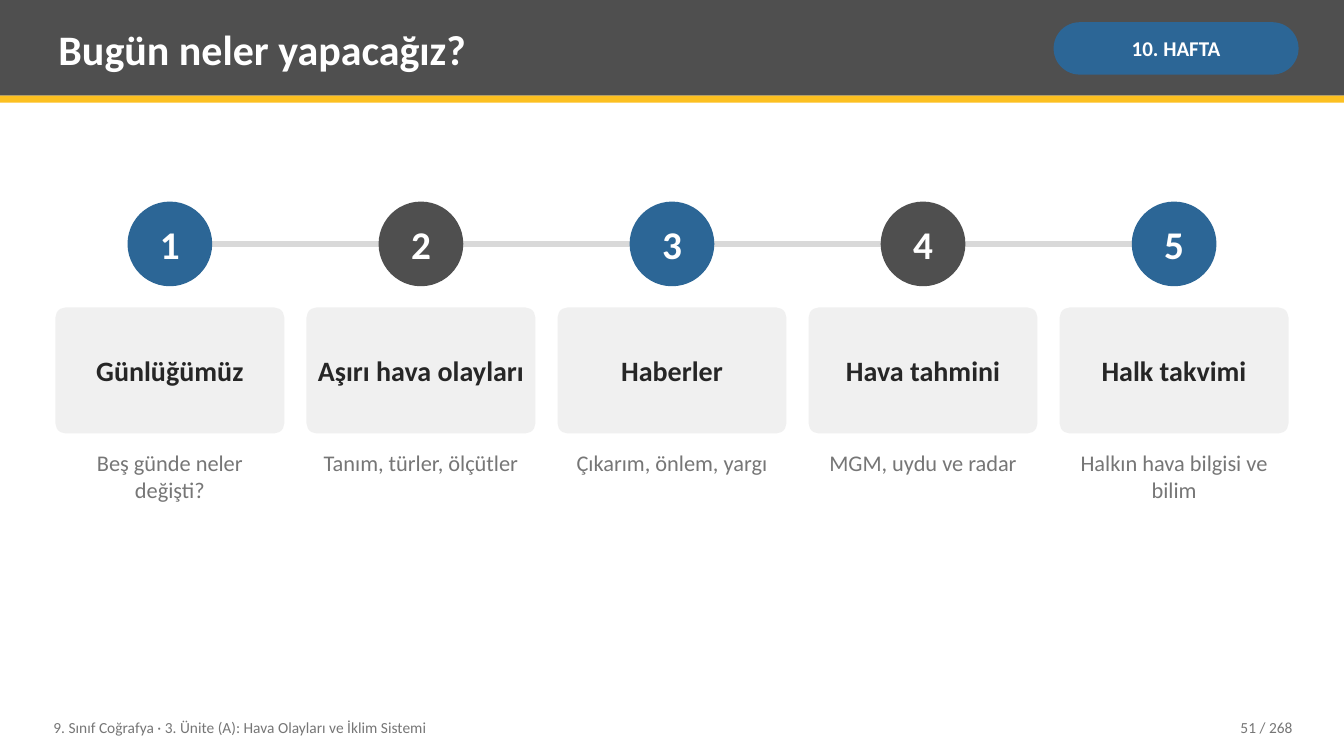
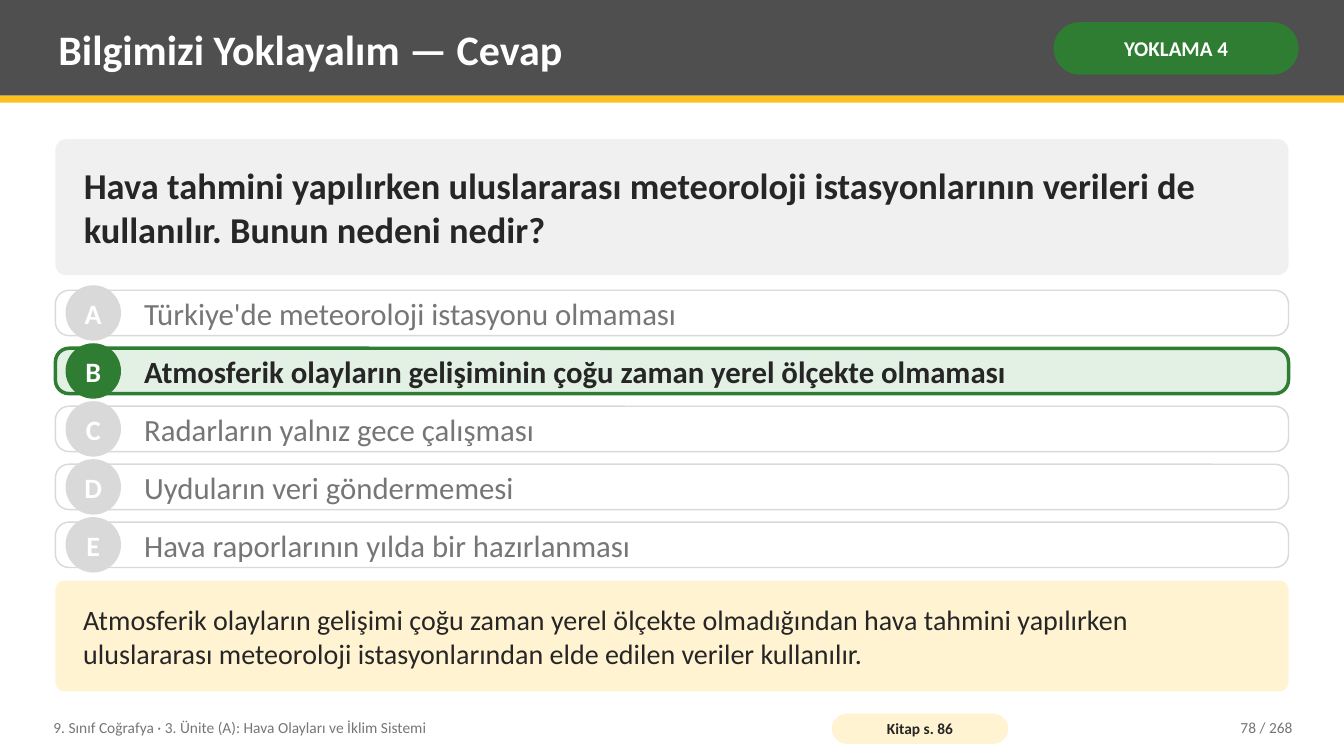
"""Builds a lesson agenda slide and a quiz answer slide."""
from lxml import etree
from pptx import Presentation
from pptx.dml.color import RGBColor
from pptx.enum.shapes import MSO_CONNECTOR, MSO_SHAPE
from pptx.enum.text import MSO_ANCHOR, PP_ALIGN
from pptx.oxml.ns import qn
from pptx.util import Inches, Pt

FONT = "Calibri"
COLORS = {
    "dark": "4F4F4F", "yellow": "FCC021", "blue": "2C6696", "green": "2E7D32",
    "white": "FFFFFF", "ink": "262626", "muted": "767676", "rule": "D9D9D9",
    "card": "F0F0F0", "cream": "FFF3D1", "mint": "E3F1E4",
}
WIDTH, HEIGHT = 13.33, 7.5
LEFT, CONTENT_W = 0.55, 12.23
TEXT_INSETS = (0.08, 0.04)
FOOTER = "9. Sınıf Coğrafya · 3. Ünite (A): Hava Olayları ve İklim Sistemi"
TOTAL_PAGES = 268

AGENDA = {"title": "Bugün neler yapacağız?", "badge": "10. HAFTA", "badge_color": "blue", "page": 51}
STEPS = [
    ("Günlüğümüz", "Beş günde neler değişti?"),
    ("Aşırı hava olayları", "Tanım, türler, ölçütler"),
    ("Haberler", "Çıkarım, önlem, yargı"),
    ("Hava tahmini", "MGM, uydu ve radar"),
    ("Halk takvimi", "Halkın hava bilgisi ve bilim"),
]

QUIZ = {"title": "Bilgimizi Yoklayalım — Cevap", "badge": "YOKLAMA 4", "badge_color": "green", "page": 78}
QUESTION = ("Hava tahmini yapılırken uluslararası meteoroloji istasyonlarının verileri de "
            "kullanılır. Bunun nedeni nedir?")
OPTIONS = [
    ("A", "Türkiye'de meteoroloji istasyonu olmaması"),
    ("B", "Atmosferik olayların gelişiminin çoğu zaman yerel ölçekte olmaması"),
    ("C", "Radarların yalnız gece çalışması"),
    ("D", "Uyduların veri göndermemesi"),
    ("E", "Hava raporlarının yılda bir hazırlanması"),
]
ANSWER = "B"
EXPLANATION = ("Atmosferik olayların gelişimi çoğu zaman yerel ölçekte olmadığından hava tahmini "
               "yapılırken uluslararası meteoroloji istasyonlarından elde edilen veriler kullanılır.")
BOOK_PAGE = "Kitap s. 86"


def rgb(name):
    return RGBColor.from_string(COLORS[name])


def set_text(shape, content, size, color, bold=False, align=PP_ALIGN.LEFT,
             anchor=MSO_ANCHOR.MIDDLE, insets=TEXT_INSETS, wrap=True):
    tf = shape.text_frame
    tf.text = content
    tf.word_wrap = wrap
    tf.vertical_anchor = anchor
    tf.margin_left = tf.margin_right = Inches(insets[0])
    tf.margin_top = tf.margin_bottom = Inches(insets[1])
    p = tf.paragraphs[0]
    p.alignment = align
    font = p.runs[0].font
    font.name, font.size, font.bold = FONT, Pt(size), bold
    font.color.rgb = rgb(color)


def add_text(s, box, content, size, color, **style):
    set_text(s.shapes.add_textbox(*map(Inches, box)), content, size, color, **style)


def add_box(s, kind, box, fill, radius=None, line=None):
    sp = s.shapes.add_shape(kind, *map(Inches, box))
    sp.shadow.inherit = False
    sp.fill.solid()
    sp.fill.fore_color.rgb = rgb(fill)
    if radius is not None:
        sp.adjustments[0] = radius
    if line:
        sp.line.color.rgb = rgb(line[0])
        sp.line.width = Pt(line[1])
    else:
        sp.line.fill.background()
    return sp


def add_panel(s, box, fill, content, size, color, radius=0.08, **style):
    sp = add_box(s, MSO_SHAPE.ROUNDED_RECTANGLE, box, fill, radius)
    set_text(sp, content, size, color, **style)


def add_disc(s, left, top, diameter, fill, label, size):
    sp = add_box(s, MSO_SHAPE.OVAL, (left, top, diameter, diameter), fill)
    set_text(sp, label, size, "white", bold=True, align=PP_ALIGN.CENTER, insets=(0, 0), wrap=False)


def add_line(s, x1, y1, x2, y2, color, width):
    line = s.shapes.add_connector(MSO_CONNECTOR.STRAIGHT, *map(Inches, (x1, y1, x2, y2)))
    line.line.color.rgb = rgb(color)
    line.line.width = Pt(width)
    etree.SubElement(line._element.spPr, qn("a:effectLst"))


def add_slide(prs, title, badge, badge_color, page):
    s = prs.slides.add_slide(prs.slide_layouts[6])
    add_box(s, MSO_SHAPE.RECTANGLE, (0, 0, WIDTH, 0.95), "dark")
    add_box(s, MSO_SHAPE.RECTANGLE, (0, 0.95, WIDTH, 0.07), "yellow")
    add_text(s, (0.5, 0.07, 9.75, 0.82), title, 30, "white", bold=True)
    add_panel(s, (10.45, 0.22, 2.43, 0.52), badge_color, badge, 15, "white", radius=0.5,
              bold=True, align=PP_ALIGN.CENTER, insets=(0.05, 0.02))
    add_text(s, (0.45, 7.04, 7.6, 0.36), FOOTER, 11, "muted")
    add_text(s, (11.3, 7.04, 1.6, 0.36), f"{page} / {TOTAL_PAGES}", 11, "muted", align=PP_ALIGN.RIGHT)
    return s


def build_agenda(prs):
    s = add_slide(prs, **AGENDA)
    gap, disc, disc_top = 0.22, 0.84, 2
    card_w = (CONTENT_W - gap * (len(STEPS) - 1)) / len(STEPS)
    lefts = [LEFT + i * (card_w + gap) for i in range(len(STEPS))]
    axis = disc_top + disc / 2
    add_line(s, lefts[0] + card_w / 2, axis, lefts[-1] + card_w / 2, axis, "rule", 4)
    for i, (left, (name, detail)) in enumerate(zip(lefts, STEPS)):
        add_disc(s, left + (card_w - disc) / 2, disc_top, disc,
                 ("blue", "dark")[i % 2], str(i + 1), 28)
        add_panel(s, (left, 3.05, card_w, 1.25), "card", name, 20, "ink",
                  bold=True, align=PP_ALIGN.CENTER, insets=(0.08, 0.08))
        add_text(s, (left, 4.42, card_w, 1.9), detail, 16, "muted",
                 align=PP_ALIGN.CENTER, anchor=MSO_ANCHOR.TOP)


def build_quiz(prs):
    s = add_slide(prs, **QUIZ)
    add_panel(s, (LEFT, 1.38, CONTENT_W, 1.35), "card", QUESTION, 26, "ink",
              bold=True, insets=(0.25, 0.08))
    first_top, pitch, row_h, disc = 2.88, 0.575, 0.45, 0.55
    for i, (letter, option) in enumerate(OPTIONS):
        top = first_top + i * pitch
        correct = letter == ANSWER
        accent = "green" if correct else "rule"
        add_box(s, MSO_SHAPE.ROUNDED_RECTANGLE, (LEFT, top, CONTENT_W, row_h),
                "mint" if correct else "white", 0.3, (accent, 2.5 if correct else 1))
        add_disc(s, LEFT + 0.1, top + (row_h - disc) / 2, disc, accent, letter, 20)
        add_text(s, (LEFT + 0.8, top, CONTENT_W - 1, row_h), option, 22,
                 "ink" if correct else "muted", bold=correct)
    add_panel(s, (LEFT, 5.76, CONTENT_W, 1.1), "cream", EXPLANATION, 20, "ink", insets=(0.25, 0.08))
    add_panel(s, (8.25, 7.08, 1.75, 0.3), "cream", BOOK_PAGE, 11, "ink", radius=0.5,
              bold=True, align=PP_ALIGN.CENTER, insets=(0.04, 0))


def main():
    prs = Presentation()
    prs.slide_width, prs.slide_height = Inches(WIDTH), Inches(HEIGHT)
    build_agenda(prs)
    build_quiz(prs)
    prs.save("out.pptx")


if __name__ == "__main__":
    main()
